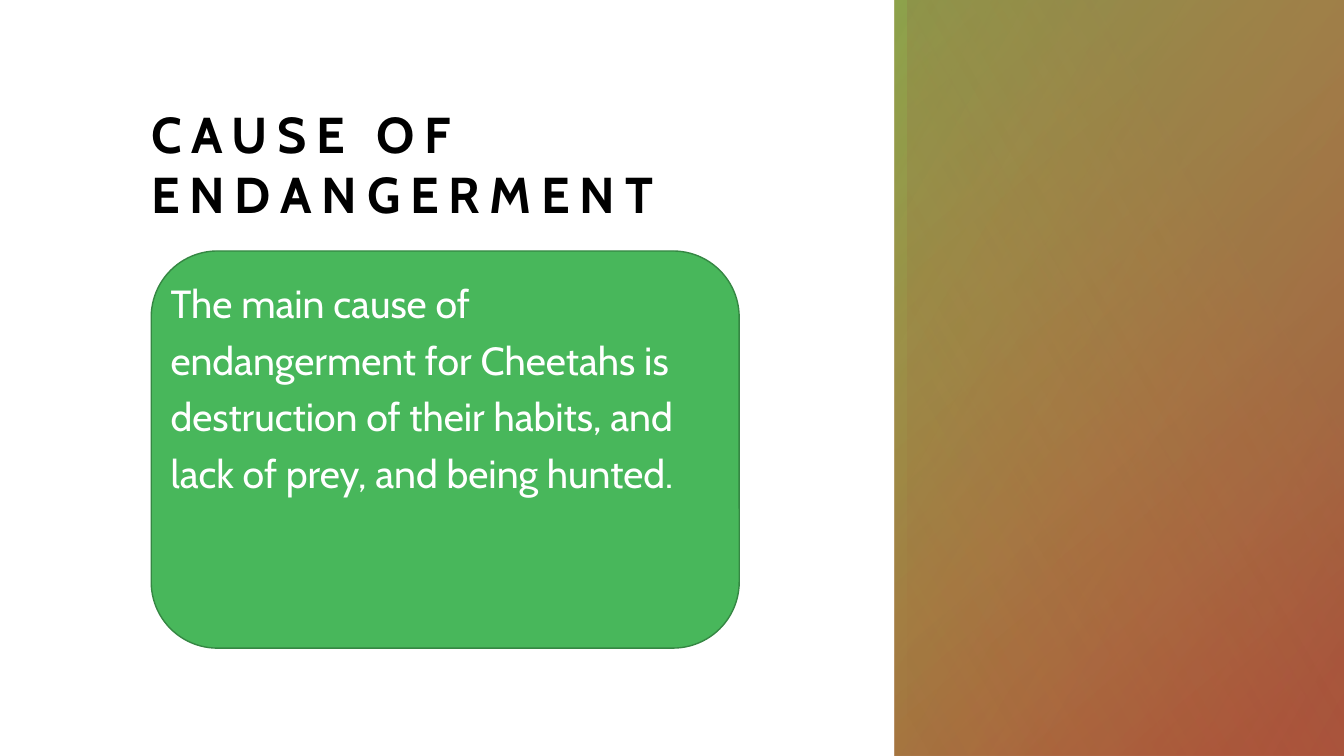
from lxml.etree import SubElement
from pptx import Presentation
from pptx.dml.color import RGBColor
from pptx.enum.shapes import MSO_SHAPE
from pptx.enum.text import MSO_ANCHOR, PP_ALIGN
from pptx.oxml.ns import qn
from pptx.util import Pt

WHITE = RGBColor(0xFF, 0xFF, 0xFF)
BLACK = RGBColor(0, 0, 0)
GREEN = RGBColor(0x48, 0xB7, 0x5B)
EDGE = RGBColor(0x35, 0x87, 0x43)
RED = RGBColor(0xB1, 0x45, 0x3B)
ORANGE = RGBColor(0xC3, 0x88, 0x4D)
OLIVE = RGBColor(0xAC, 0xA3, 0x39)
LEAF = RGBColor(0x58, 0xB1, 0x3B)
BROWN = RGBColor(0x83, 0x67, 0x48)

WIDE, HIGH = 960, 540
LEFT, SPAN = 108, 420
FONT = "Cabin"
TITLE = "CAUSE OF ENDANGERMENT"
CAUSE = ("The main cause of endangerment for Cheetahs is destruction of "
         "their habits, and lack of prey, and being hunted.")

# width, turn, angle, stops of (place, colour, opacity)
PANELS = [
    (321, 180, 130, [(8, RED, 100), (100, ORANGE, 90)]),
    (321, 90, 60, [(0, OLIVE, 13), (99, LEAF, 52)]),
    (312, 90, 300, [(0, RED, 0), (72, BROWN, 26)]),
]


def write(shape, text, size, color, anchor):
    frame = shape.text_frame
    frame.word_wrap = True
    frame.vertical_anchor = anchor
    frame.margin_left = frame.margin_right = 0
    frame.margin_top = frame.margin_bottom = 0
    para = frame.paragraphs[0]
    para.text = text
    para.alignment = PP_ALIGN.LEFT
    font = para.runs[0].font
    font.name, font.size = FONT, Pt(size)
    font.color.rgb = color
    return para


def panel(shapes, width, turn, angle, stops):
    wide, high = (HIGH, width) if turn == 90 else (width, HIGH)
    mid = WIDE - width / 2
    shape = shapes.add_shape(MSO_SHAPE.RECTANGLE, Pt(mid - wide / 2),
                             Pt((HIGH - high) / 2), Pt(wide), Pt(high))
    shape.shadow.inherit = False
    shape.line.fill.background()
    shape.rotation = turn
    shape.element.spPr.find(qn("a:xfrm")).set("flipH", "1")
    fill = shape.fill
    fill.gradient()
    fill.gradient_angle = 360 - angle
    for stop, (place, color, _) in zip(fill.gradient_stops, stops):
        stop.position = place / 100
        stop.color.rgb = color
    tints = shape.element.spPr.findall(".//" + qn("a:gs") + "/" + qn("a:srgbClr"))
    for tint, (_, _, solid) in zip(tints, stops):
        if solid < 100:
            SubElement(tint, qn("a:alpha")).set("val", str(solid * 1000))


def main():
    deck = Presentation()
    deck.slide_width, deck.slide_height = Pt(WIDE), Pt(HIGH)
    slide = deck.slides.add_slide(deck.slide_layouts[6])
    slide.background.fill.solid()
    slide.background.fill.fore_color.rgb = WHITE
    shapes = slide.shapes

    title = shapes.add_textbox(Pt(LEFT), Pt(36.7), Pt(SPAN), Pt(123))
    para = write(title, TITLE, 36, BLACK, MSO_ANCHOR.BOTTOM)
    para.runs[0].font.bold = True
    para.runs[0].font._element.set("spc", "700")

    card = shapes.add_shape(MSO_SHAPE.ROUNDED_RECTANGLE, Pt(LEFT), Pt(179.3),
                            Pt(SPAN), Pt(283.7))
    card.shadow.inherit = False
    card.fill.solid()
    card.fill.fore_color.rgb = GREEN
    card.line.color.rgb = EDGE
    card.line.width = Pt(1)
    para = write(card, CAUSE, 28, WHITE, MSO_ANCHOR.TOP)
    para.line_spacing = 1.2
    para.space_after = Pt(6)

    for item in PANELS:
        panel(shapes, *item)
    deck.save("out.pptx")


if __name__ == "__main__":
    main()
